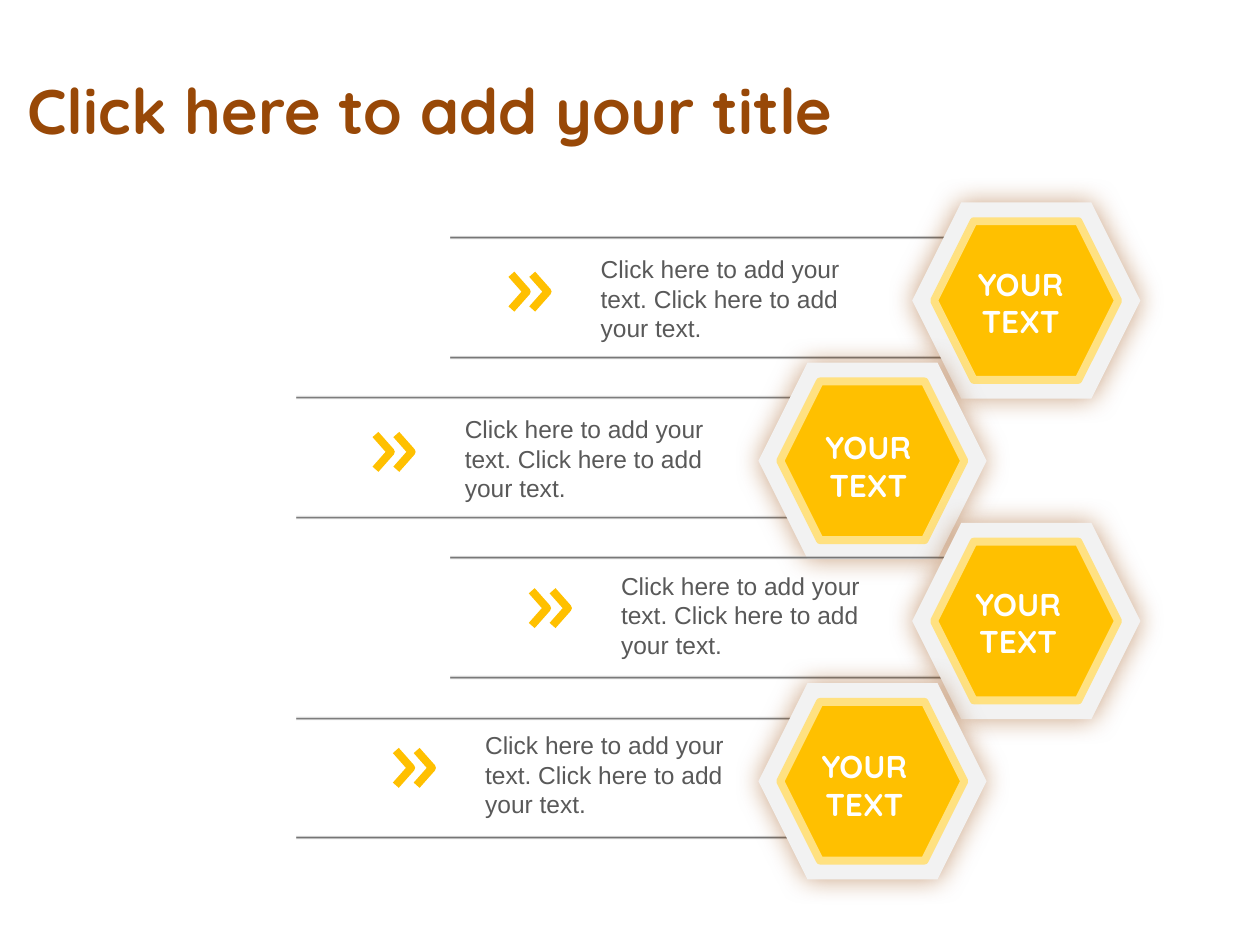
import pptx
import pptx.util
import pptx.dml.color
import pptx.enum.shapes
import pptx.enum.text
import pptx.oxml

Cm = pptx.util.Cm
Pt = pptx.util.Pt
SHAPE = pptx.enum.shapes.MSO_SHAPE
ALIGN = pptx.enum.text.PP_ALIGN

TITLE = "Click here to add your title"
BODY = "Click here to add your text. Click here to add your text."
ROWS = [
    {"hexagon_x": 18.39, "label": "YOUR TEXT", "label_at": (19.1, 5.21), "body": BODY, "body_at": (11.86, 5.0)},
    {"hexagon_x": 15.29, "label": "YOUR TEXT", "label_at": (16.03, 8.51), "body": BODY, "body_at": (9.12, 8.23)},
    {"hexagon_x": 18.39, "label": "YOUR TEXT", "label_at": (19.05, 11.66), "body": BODY, "body_at": (12.27, 11.38)},
    {"hexagon_x": 15.29, "label": "YOUR TEXT", "label_at": (15.95, 14.94), "body": BODY, "body_at": (9.53, 14.6)},
]
COLORS = {"brown": "984807", "amber": "FFC000", "pale": "FFE181",
          "frame": "F2F2F2", "gray": "595959", "white": "FFFFFF"}
FIRST_TOP, ROW_STEP = 4.08, 3.23
RULE_TOPS = (0.67, 3.08)
CHEVRON = ((-1.55, 0.53), (-1.24, 0.88), (-1.55, 1.23))
CHEVRON_STEP = 0.42
NAMESPACE = 'xmlns:a="http://schemas.openxmlformats.org/drawingml/2006/main"'


def color(name):
    return pptx.dml.color.RGBColor.from_string(COLORS[name])


def add_plain(page, kind, left, top, width, height, fill):
    shape = page.shapes.add_shape(kind, Cm(left), Cm(top), Cm(width), Cm(height))
    shape.shadow.inherit = False
    shape.fill.solid()
    shape.fill.fore_color.rgb = color(fill)
    shape.line.fill.background()
    return shape


def add_rule(page, left, top):
    rule = add_plain(page, SHAPE.RECTANGLE, left, top, 12.6, 0.08, "gray")
    clear = f'<a:srgbClr val="{COLORS["white"]}"><a:alpha val="0"/></a:srgbClr>'
    gradient = pptx.oxml.parse_xml(
        f'<a:gradFill {NAMESPACE} rotWithShape="1"><a:gsLst>'
        f'<a:gs pos="2000">{clear}</a:gs>'
        f'<a:gs pos="50000"><a:srgbClr val="{COLORS["gray"]}"/></a:gs>'
        f'<a:gs pos="100000">{clear}</a:gs>'
        '</a:gsLst><a:lin ang="5400000" scaled="0"/></a:gradFill>')
    properties = rule._element.spPr
    solid = properties.find(pptx.oxml.ns.qn("a:solidFill"))
    properties.replace(solid, gradient)


def add_hexagon(page, left, top):
    frame = add_plain(page, SHAPE.HEXAGON, left, top, 4.6, 3.96, "frame")
    effects = frame._element.spPr.find(pptx.oxml.ns.qn("a:effectLst"))
    effects.append(pptx.oxml.parse_xml(
        f'<a:outerShdw {NAMESPACE} blurRad="{Pt(15)}" dist="0" dir="0" algn="ctr" rotWithShape="0">'
        f'<a:srgbClr val="{COLORS["brown"]}"><a:alpha val="49000"/></a:srgbClr></a:outerShdw>'))
    core = add_plain(page, SHAPE.HEXAGON, left + 0.44, top + 0.38, 3.71, 3.2, "amber")
    core.line.color.rgb = color("pale")
    core.line.width = Pt(4.5)


def add_chevron(page, left, top):
    points = [(Cm(left + x), Cm(top + y)) for x, y in CHEVRON]
    builder = page.shapes.build_freeform(*points[0])
    builder.add_line_segments(points[1:], close=False)
    chevron = builder.convert_to_shape()
    chevron.shadow.inherit = False
    chevron.fill.background()
    chevron.line.color.rgb = color("amber")
    chevron.line.width = Pt(4.5)


def write(box, text, size, font, fill, bold, align):
    frame = box.text_frame
    frame.word_wrap = True
    frame.vertical_anchor = pptx.enum.text.MSO_ANCHOR.TOP
    para = frame.paragraphs[0]
    para.alignment = align
    span = para.add_run()
    span.text = text
    span.font.size = Pt(size)
    span.font.name = font
    span.font.bold = bold
    span.font.color.rgb = color(fill)


def add_text(page, at, size, *style):
    box = page.shapes.add_textbox(*map(Cm, at + size))
    write(box, *style)


def main():
    deck = pptx.Presentation()
    deck.slide_width, deck.slide_height = Cm(25.4), Cm(19.05)
    page = deck.slides.add_slide(deck.slide_layouts[5])

    title = page.shapes.title
    title.left, title.top, title.width, title.height = map(Cm, (0.3, 1.32, 17.58, 1.8))
    write(title, TITLE, 36, "Quicksand", "brown", True, ALIGN.LEFT)
    title.text_frame.auto_size = pptx.enum.text.MSO_AUTO_SIZE.NONE

    for index, row in enumerate(ROWS):
        top = FIRST_TOP + index * ROW_STEP
        for offset in RULE_TOPS:
            add_rule(page, row["hexagon_x"] - 9.3, top + offset)
        add_hexagon(page, row["hexagon_x"], top)

    for row in ROWS:
        add_text(page, row["label_at"], (2.95, 1.8), row["label"], 18, "Quicksand", "white", True, ALIGN.CENTER)
        add_text(page, row["body_at"], (5.44, 2.06), row["body"], 14, "Arial", "gray", False, ALIGN.LEFT)
        left, top = row["body_at"]
        for step in range(2):
            add_chevron(page, left + step * CHEVRON_STEP, top)

    deck.save("out.pptx")


if __name__ == "__main__":
    main()
